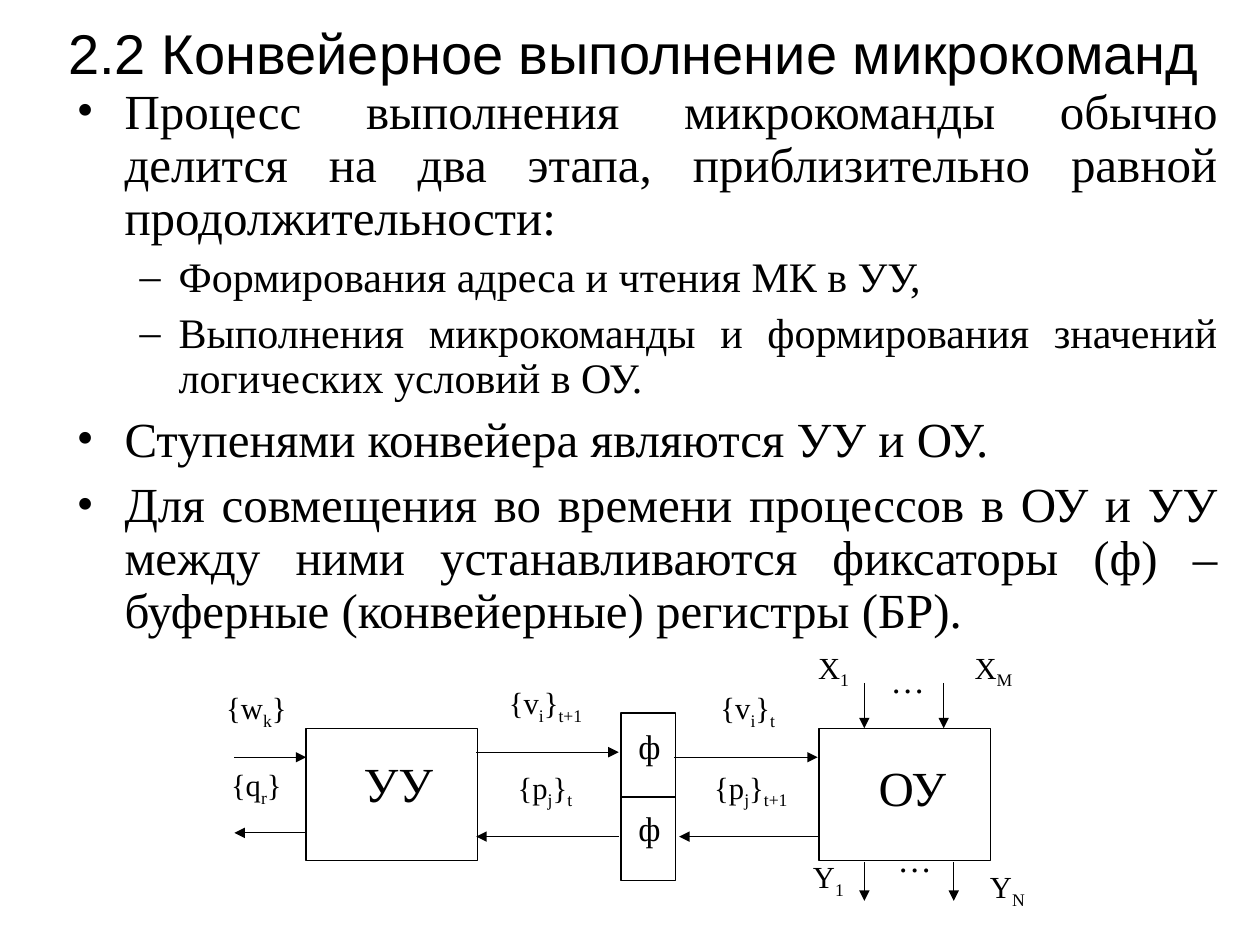
from typing import NamedTuple

from lxml import etree
from pptx import Presentation
from pptx.dml.color import RGBColor
from pptx.enum.shapes import MSO_CONNECTOR, MSO_SHAPE
from pptx.enum.text import MSO_ANCHOR, PP_ALIGN
from pptx.oxml.ns import qn
from pptx.util import Emu, Pt

PX = 9144  # 100 px to the inch
BLACK = RGBColor(0, 0, 0)
WHITE = RGBColor(255, 255, 255)
SERIF, SANS = "Times New Roman", "Arial"
RECT, LINE = MSO_SHAPE.RECTANGLE, MSO_CONNECTOR.STRAIGHT
CENTER, JUSTIFY = PP_ALIGN.CENTER, PP_ALIGN.JUSTIFY
TOP, MIDDLE = MSO_ANCHOR.TOP, MSO_ANCHOR.MIDDLE


class Box(NamedTuple):
    left: int
    top: int
    width: int
    height: int


class Arrow(NamedTuple):
    x1: int
    y1: int
    x2: int
    y2: int


class Label(NamedTuple):
    box: Box
    text: str  # pieces split by "|": every second one is a subscript
    size: float = 17.5
    pad: int = 10


class Level(NamedTuple):
    mark: str
    size: int
    left: int
    hang: int
    gap: int


class Item(NamedTuple):
    level: int
    text: str


LEVELS = (Level("•", 28, 38, 38, 7), Level("–", 24, 81, 31, 6))
ITEMS = (
    Item(0, "Процесс выполнения микрокоманды обычно делится на два этапа, "
            "приблизительно равной продолжительности:"),
    Item(1, "Формирования адреса и чтения МК в УУ,"),
    Item(1, "Выполнения микрокоманды и формирования значений логических условий в ОУ."),
    Item(0, "Ступенями конвейера являются УУ и ОУ."),
    Item(0, "Для совмещения во времени процессов в ОУ и УУ между ними устанавливаются "
            "фиксаторы (ф) – буферные (конвейерные) регистры (БР)."),
)
UNITS = [Box(x, 578, 136, 105) for x in (243, 650)]
LATCHES = [Box(493, y, 43, 67) for y in (566, 632)]
ARROWS = (
    Arrow(186, 601, 243, 601), Arrow(243, 661, 186, 661),
    Arrow(378, 597, 491, 597), Arrow(491, 664, 378, 664),
    Arrow(535, 601, 649, 601), Arrow(649, 664, 539, 664),
    *(Arrow(x, 542, x, 578) for x in (686, 749)),
    *(Arrow(x, 684, x, 715) for x in (686, 757)),
)
LABELS = (
    Label(Box(237, 593, 148, 72), "УУ", 28, 20),
    Label(Box(645, 596, 148, 72), "ОУ", 28, 20),
    Label(Box(153, 542, 101, 46), "{w|k|}"),
    Label(Box(153, 603, 101, 46), "{q|r|}"),
    Label(Box(370, 538, 126, 46), "{v|i|}|t+1"),
    Label(Box(382, 605, 101, 46), "{p|j|}|t"),
    Label(Box(543, 542, 101, 46), "{v|i|}|t"),
    Label(Box(531, 605, 130, 46), "{p|j|}|t+1"),
    Label(Box(619, 510, 85, 46), "X|1"),
    Label(Box(678, 518, 85, 46), "…", 19.6),
    Label(Box(746, 510, 85, 46), "X|M"),
    Label(Box(615, 676, 85, 46), "Y|1"),
    Label(Box(687, 660, 78, 46), "…", 19.6),
    Label(Box(757, 684, 85, 46), "Y|N"),
    *(Label(Box(473, y, 85, 46), "ф", 19.6) for y in (571, 636)),
)


def emu(values) -> list[Emu]:
    return [Emu(v * PX) for v in values]


def apply(target, values: dict) -> None:
    for name, value in values.items():
        setattr(target, name, value)


def add_frame(shapes, box: Box, anchor=TOP, pad: int = 10):
    frame = shapes.add_textbox(*emu(box)).text_frame
    left, right, edge = emu((pad, 10, 5))
    apply(frame, {"word_wrap": True, "vertical_anchor": anchor,
                  "margin_left": left, "margin_right": right,
                  "margin_top": edge, "margin_bottom": edge})
    return frame


def add_run(para, text: str, size: float, face: str = SERIF):
    run = para.add_run()
    run.text = text
    apply(run.font, {"size": Pt(size), "name": face})
    run.font.color.rgb = BLACK
    return run


def add_label(shapes, label: Label) -> None:
    para = add_frame(shapes, label.box, pad=label.pad).paragraphs[0]
    para.alignment = CENTER
    for i, piece in enumerate(label.text.split("|")):
        run = add_run(para, piece, label.size)
        if i % 2:
            run.font._element.set("baseline", "-25000")


def add_rect(shapes, box: Box) -> None:
    rect = shapes.add_shape(RECT, *emu(box))
    rect.shadow.inherit = False
    rect.fill.background()
    rect.line.color.rgb = BLACK
    rect.line.width = Pt(0.75)


def add_arrow(shapes, arrow: Arrow) -> None:
    link = shapes.add_connector(LINE, *emu(arrow))
    link.line.color.rgb = BLACK
    link.line.width = Pt(0.75)
    props = link._element.spPr
    etree.SubElement(props.find(qn("a:ln")), qn("a:tailEnd"), type="triangle")
    etree.SubElement(props, qn("a:effectLst"))


def add_item(frame, item: Item, first: bool) -> None:
    para = frame.paragraphs[0] if first else frame.add_paragraph()
    level = LEVELS[item.level]
    apply(para, {"level": item.level, "alignment": JUSTIFY, "line_spacing": 0.9,
                 "space_before": Pt(0 if first else level.gap)})
    props = para._p.get_or_add_pPr()
    props.set("marL", str(level.left * PX))
    props.set("indent", str(-level.hang * PX))
    color = etree.SubElement(props, qn("a:buClr"))
    etree.SubElement(color, qn("a:srgbClr"), val=str(BLACK))
    etree.SubElement(props, qn("a:buFont"), typeface=SERIF)
    etree.SubElement(props, qn("a:buChar"), char=level.mark)
    add_run(para, item.text, level.size)


def main() -> None:
    deck = Presentation()
    deck.slide_width, deck.slide_height = emu((1000, 750))
    slide = deck.slides.add_slide(deck.slide_layouts[6])
    slide.background.fill.solid()
    slide.background.fill.fore_color.rgb = WHITE

    # Body list
    body = add_frame(slide.shapes, Box(51, 64, 925, 453))
    for i, item in enumerate(ITEMS):
        add_item(body, item, i == 0)

    # Title
    title = add_frame(slide.shapes, Box(27, 9, 953, 65), MIDDLE).paragraphs[0]
    title.alignment = CENTER
    add_run(title, "2.2 Конвейерное выполнение микрокоманд", 32, SANS)

    # Pipeline diagram
    parts = slide.shapes.add_group_shape().shapes
    for box in UNITS + LATCHES:
        add_rect(parts, box)
    for arrow in ARROWS:
        add_arrow(parts, arrow)
    for label in LABELS:
        add_label(parts, label)

    deck.save("out.pptx")


if __name__ == "__main__":
    main()
